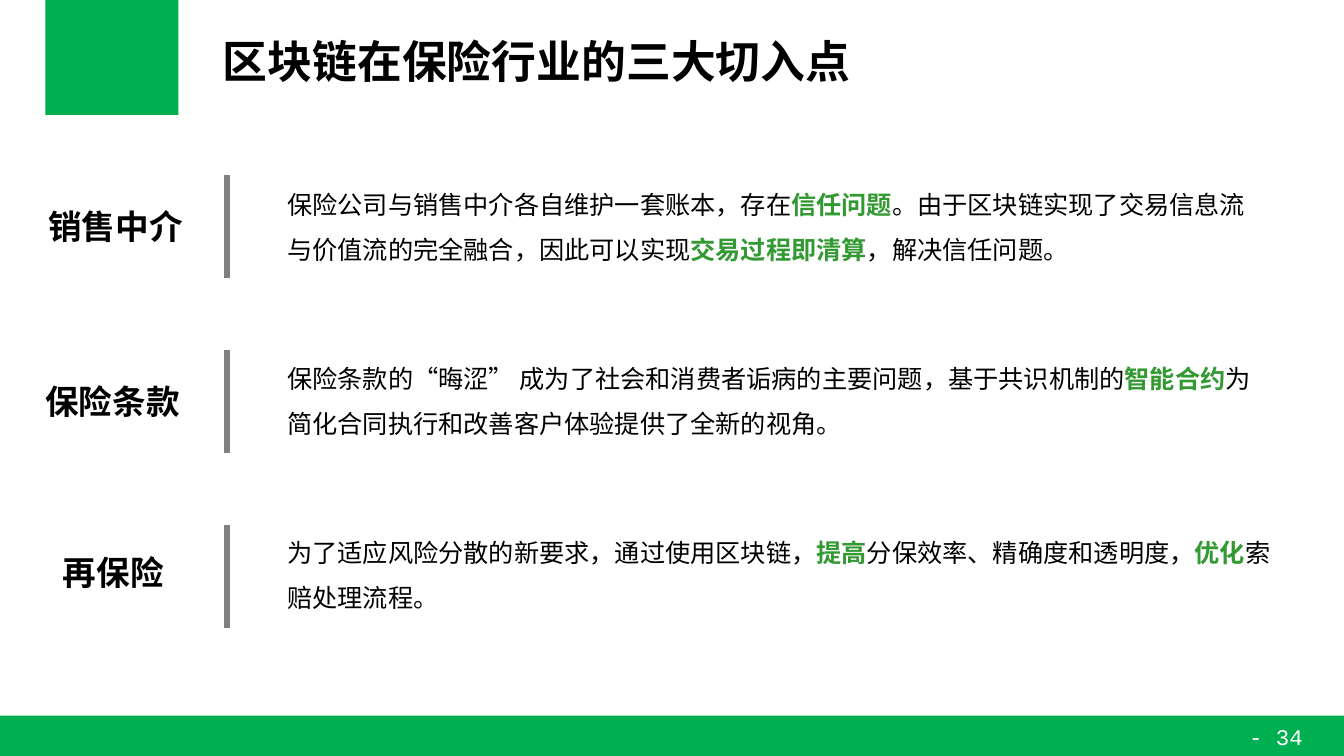
from lxml import etree
from pptx import Presentation
from pptx.dml.color import RGBColor
from pptx.enum.shapes import MSO_CONNECTOR, MSO_SHAPE
from pptx.enum.text import MSO_ANCHOR, PP_ALIGN
from pptx.oxml.ns import qn
from pptx.util import Inches, Pt

RECT = MSO_SHAPE.RECTANGLE
STRAIGHT = MSO_CONNECTOR.STRAIGHT
TOP, MIDDLE = MSO_ANCHOR.TOP, MSO_ANCHOR.MIDDLE
LEFT, CENTER = PP_ALIGN.LEFT, PP_ALIGN.CENTER
CJK = "Noto Sans CJK SC"
GREEN, ACCENT, GRAY, BLACK, WHITE = "00B050", "339933", "808080", "000000", "FFFFFF"


def color(hex_code):
    return RGBColor.from_string(hex_code)


def write(sp, text, size, font=CJK, fill=BLACK, bold=False, align=LEFT, anchor=TOP, spacing=1.0):
    """Text between asterisks becomes bold in the accent colour."""
    tf = sp.text_frame
    tf.word_wrap = True
    tf.vertical_anchor = anchor
    p = tf.paragraphs[0]
    p.alignment = align
    p.line_spacing = spacing
    for i, part in enumerate(text.split("*")):
        marked = i % 2 == 1
        r = p.add_run()
        r.text = part
        r.font.size = Pt(size)
        r.font.bold = bold or marked
        r.font.color.rgb = color(ACCENT if marked else fill)
        r.font.name = font
        etree.SubElement(r.font._element, qn("a:ea"), typeface=CJK)


prs = Presentation()
prs.slide_width = Inches(13.33)
prs.slide_height = Inches(7.5)
s = prs.slides.add_slide(prs.slide_layouts[5])

for x, y, w, h in [(0.45, 0, 1.32, 1.14), (0, 7.1, 13.33, 0.4)]:
    sp = s.shapes.add_shape(RECT, Inches(x), Inches(y), Inches(w), Inches(h))
    sp.shadow.inherit = False
    sp.fill.solid()
    sp.fill.fore_color.rgb = color(GREEN)
    sp.line.fill.background()

number = s.shapes.add_textbox(Inches(12.18), Inches(7.12), Inches(0.95), Inches(0.37))
write(number, "- 34", 16, font="Courier New", fill=WHITE, align=CENTER)

title = s.shapes.title
title.left, title.top = Inches(2.11), Inches(0.24)
title.width, title.height = Inches(10.49), Inches(0.78)
write(title, "区块链在保险行业的三大切入点", 32, font="Arial", bold=True, anchor=MIDDLE, spacing=0.9)

entries = [
    ("销售中介", 0.21, 1.99, 9.79,
     "保险公司与销售中介各自维护一套账本，存在*信任问题*。由于区块链实现了交易信息流"
     "与价值流的完全融合，因此可以实现*交易过程即清算*，解决信任问题。"),
    ("保险条款", 0.18, 3.73, 9.99,
     "保险条款的“晦涩” 成为了社会和消费者诟病的主要问题，基于共识机制的*智能合约*为"
     "简化合同执行和改善客户体验提供了全新的视角。"),
    ("再保险", 0.19, 5.43, 9.99,
     "为了适应风险分散的新要求，通过使用区块链，*提高*分保效率、精确度和透明度，*优化*索"
     "赔处理流程。"),
]
for i, (name, name_x, name_y, width, detail) in enumerate(entries):
    y = 1.74 + i * 1.735
    bar = s.shapes.add_connector(STRAIGHT, Inches(2.25), Inches(y), Inches(2.25), Inches(y + 1.02))
    bar.line.color.rgb = color(GRAY)
    bar.line.width = Pt(4.5)
    etree.SubElement(bar._element.spPr, qn("a:effectLst"))

    label = s.shapes.add_textbox(Inches(name_x), Inches(name_y), Inches(1.87), Inches(0.5))
    write(label, name, 24, font="Roboto Condensed", bold=True, align=CENTER, anchor=MIDDLE)

    body = s.shapes.add_textbox(Inches(2.75), Inches(1.68 + i * 1.725), Inches(width), Inches(1))
    write(body, detail, 18, spacing=1.5)

prs.save("out.pptx")
